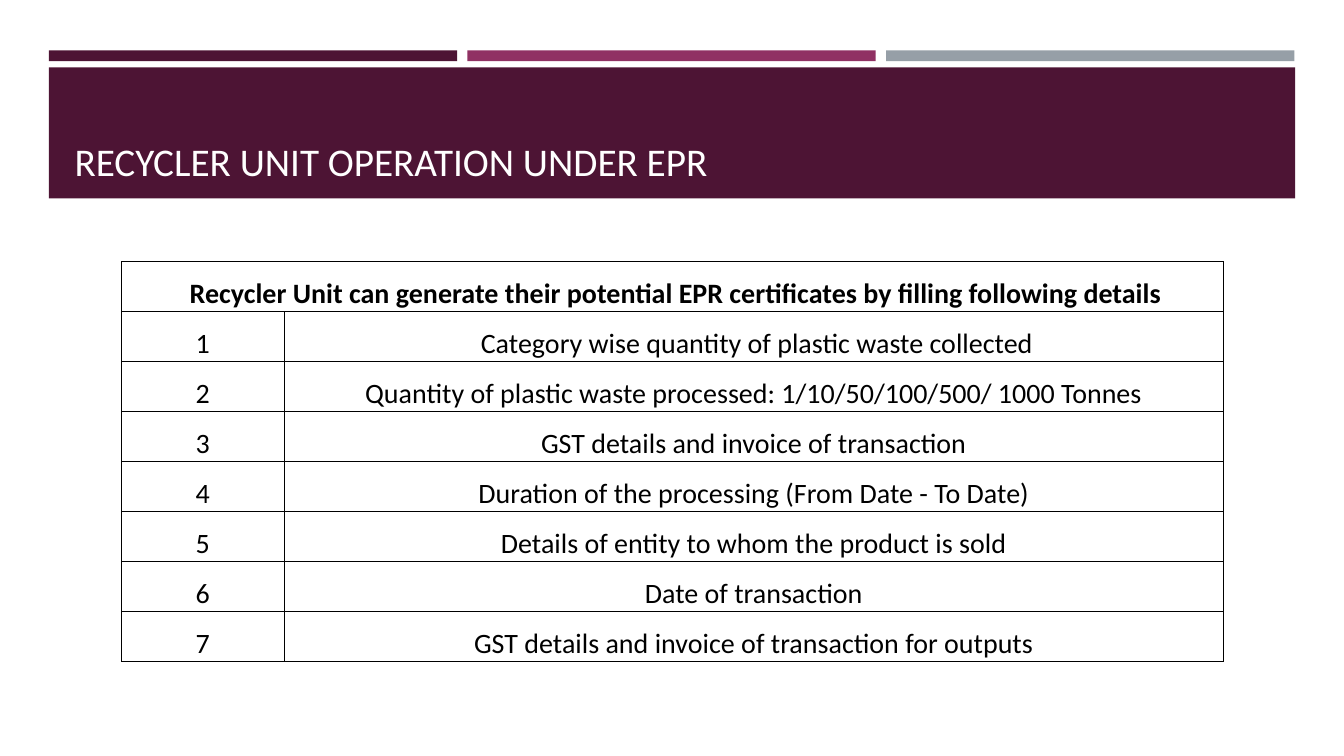
from lxml.etree import SubElement
from pptx import Presentation
from pptx.dml.color import RGBColor
from pptx.enum.shapes import MSO_SHAPE
from pptx.enum.text import MSO_ANCHOR, PP_ALIGN
from pptx.oxml.ns import qn
from pptx.util import Cm, Pt

PLUM = RGBColor(0x4D, 0x14, 0x34)
MAGENTA = RGBColor(0x90, 0x31, 0x63)
GREY = RGBColor(0x96, 0x9F, 0xA7)
WHITE = RGBColor(0xFF, 0xFF, 0xFF)
BLACK = RGBColor(0, 0, 0)

TITLE = "RECYCLER UNIT OPERATION UNDER EPR"
HEADING = " Recycler Unit can generate their potential EPR certificates by filling following details"
DETAILS = [
    " Category wise quantity of plastic waste collected",
    "Quantity of plastic waste processed: 1/10/50/100/500/ 1000 Tonnes",
    "GST details and invoice of transaction",
    "Duration of the processing (From Date - To Date)",
    "Details of entity to whom the product is sold",
    "Date of transaction",
    "GST details and invoice of transaction for outputs",
]
STRIPES = [PLUM, MAGENTA, GREY]

# Lengths in centimetres
STRIPE_LEFT, STRIPE_TOP, STRIPE_WIDTH, STRIPE_HEIGHT = 1.23, 1.27, 10.29, 0.27
STRIPE_STEP = 10.55
BANNER = (1.23, 1.7, 31.41, 3.3)
TITLE_BOX = (1.63, 1.96, 30.63, 2.82)
TABLE_LEFT, TABLE_TOP, ROW_HEIGHT = 3.06, 6.59, 1.26
COLUMN_WIDTHS = (4.1, 23.67)


def write(frame, text, size=20, color=BLACK, bold=False, align=PP_ALIGN.CENTER):
    paragraph = frame.paragraphs[0]
    paragraph.alignment = align
    run = paragraph.add_run()
    run.text = text
    run.font.name = "Calibri"
    run.font.size = Pt(size)
    run.font.bold = bold
    run.font.color.rgb = color


def add_block(slide, box, color):
    block = slide.shapes.add_shape(MSO_SHAPE.RECTANGLE, *map(Cm, box))
    block.shadow.inherit = False
    block.fill.solid()
    block.fill.fore_color.rgb = color
    block.line.fill.background()


def add_borders(cell):
    properties = cell._tc.get_or_add_tcPr()
    for side in ("a:lnL", "a:lnR", "a:lnT", "a:lnB"):
        border = SubElement(properties, qn(side), w=str(Pt(0.5)))
        fill = SubElement(border, qn("a:solidFill"))
        SubElement(fill, qn("a:srgbClr"), val=str(BLACK))


def add_details_table(slide):
    row_count = len(DETAILS) + 1
    table = slide.shapes.add_table(
        row_count, 2, Cm(TABLE_LEFT), Cm(TABLE_TOP),
        Cm(sum(COLUMN_WIDTHS)), Cm(row_count * ROW_HEIGHT)).table
    table.first_row = table.horz_banding = False
    for column, width in zip(table.columns, COLUMN_WIDTHS):
        column.width = Cm(width)
    for row in table.rows:
        row.height = Cm(ROW_HEIGHT)
    for cell in table.iter_cells():
        add_borders(cell)
        cell.fill.background()
        cell.vertical_anchor = MSO_ANCHOR.BOTTOM
        cell.margin_left = cell.margin_right = cell.margin_top = Cm(0.02)
        cell.margin_bottom = 0

    table.cell(0, 0).merge(table.cell(0, 1))
    write(table.cell(0, 0).text_frame, HEADING, bold=True)
    for number, detail in enumerate(DETAILS, start=1):
        write(table.cell(number, 0).text_frame, str(number))
        write(table.cell(number, 1).text_frame, detail)


def main():
    deck = Presentation()
    deck.slide_width, deck.slide_height = Cm(33.87), Cm(19.05)
    slide = deck.slides.add_slide(deck.slide_layouts[6])

    for index, color in enumerate(STRIPES):
        left = STRIPE_LEFT + index * STRIPE_STEP
        add_block(slide, (left, STRIPE_TOP, STRIPE_WIDTH, STRIPE_HEIGHT), color)
    add_block(slide, BANNER, PLUM)

    title = slide.shapes.add_textbox(*map(Cm, TITLE_BOX)).text_frame
    title.word_wrap = True
    title.vertical_anchor = MSO_ANCHOR.BOTTOM
    write(title, TITLE, size=28, color=WHITE, align=PP_ALIGN.LEFT)

    add_details_table(slide)
    deck.save("out.pptx")


if __name__ == "__main__":
    main()
